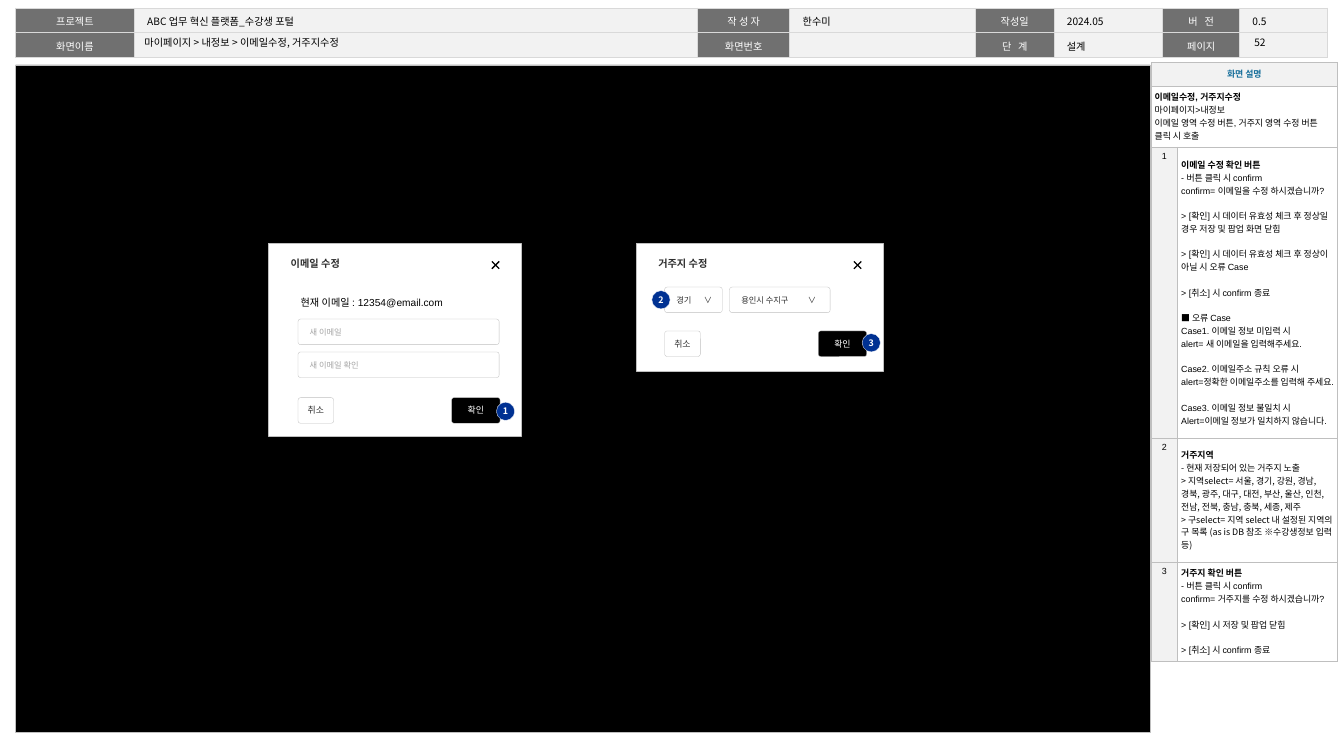
"""Builds the screen specification slide for the e-mail and residence popups."""
from lxml import etree
from pptx import Presentation
from pptx.dml.color import RGBColor
from pptx.enum.shapes import MSO_CONNECTOR as Connector, MSO_SHAPE as Shape
from pptx.enum.text import MSO_ANCHOR as Anchor, PP_ALIGN as Align
from pptx.oxml.ns import qn
from pptx.util import Inches, Pt

KOREAN = "Noto Sans CJK KR"
LATIN = "Arial"
BLACK, WHITE, INK = "000000", "FFFFFF", "2E2E2E"
PALE, LABEL_GRAY, EDGE, HINT = "F2F2F2", "707070", "BFBFBF", "A6A6A6"

HEADER_COLUMNS = [1.3, 6.16, 1.01, 2.03, 0.86, 1.19, 0.84, 0.96]
HEADER_ROWS = [
    ["프로젝트", "ABC 업무 혁신 플랫폼_수강생 포털", "작 성 자", "한수미",
     "작성일", "2024.05", "버 전", "0.5"],
    ["화면이름", "", "화면번호", "", "단 계", "설계", "페이지", ""],
]
SPREAD_LABELS = {"버 전", "단 계"}
SCREEN_PATH = "마이페이지 > 내정보 > 이메일수정, 거주지수정"
PAGE_NUMBER = "52"

GUIDE_TITLE = "화면 설명"
GUIDE_INTRO = [["이메일수정, 거주지수정", "마이페이지>내정보",
                "이메일 영역 수정 버튼, 거주지 영역 수정 버튼 클릭 시 호출"]]
GUIDE_HEIGHTS = [0.26, 0.67, 3.18, 1.36, 1.08]
GUIDE_NOTES = [
    ("1", LATIN, [
        ["이메일 수정 확인 버튼", "- 버튼 클릭 시 confirm", "confirm= 이메일을 수정 하시겠습니까?"],
        ["> [확인] 시 데이터 유효성 체크 후 정상일 경우 저장 및 팝업 화면 닫힘"],
        ["> [확인] 시 데이터 유효성 체크 후 정상이 아닐 시 오류 Case"],
        ["> [취소] 시 confirm 종료"],
        ["■ 오류 Case", "Case1. 이메일 정보 미입력 시", "alert= 새 이메일을 입력해주세요."],
        ["Case2. 이메일주소 규칙 오류 시", "alert=정확한 이메일주소를 입력해 주세요."],
        ["Case3. 이메일 정보 불일치 시", "Alert=이메일 정보가 일치하지 않습니다."],
    ]),
    ("2", KOREAN, [
        ["거주지역", "- 현재 저장되어 있는 거주지 노출",
         "> 지역select= 서울, 경기, 강원, 경남, 경북, 광주, 대구, 대전, 부산, 울산, 인천, "
         "전남, 전북, 충남, 충북, 세종, 제주",
         "> 구select= 지역 select 내 설정된 지역의 구 목록 (as is DB 참조 ※수강생정보 입력 등)"],
    ]),
    ("3", LATIN, [
        ["거주지 확인 버튼", "- 버튼 클릭 시 confirm", "confirm= 거주지를 수정 하시겠습니까?"],
        ["> [확인] 시 저장 및 팝업 닫힘"],
        ["> [취소] 시 confirm 종료"],
    ]),
]

POPUP_TOP = 2.66
POPUPS = [("이메일 수정", 2.94, 2.76, 2.11, (3.26, 4.35)),
          ("거주지 수정", 6.96, 2.7, 1.4, (7.27, 3.62))]
CURRENT_EMAIL = "현재 이메일 : 12354@email.com"
FIELDS = [("새 이메일", 3.26, 3.49, 2.2, HINT, None),
          ("새 이메일 확인", 3.26, 3.85, 2.2, HINT, None),
          ("경기\t∨", 7.27, 3.14, 0.63, INK, 0.3),
          ("용인시 수지구\t∨", 7.98, 3.14, 1.1, INK, 0.73)]
BADGES = [("1", 5.43, 4.4), ("2", 7.13, 3.18), ("3", 9.43, 3.65)]


def rgb(value):
    return RGBColor.from_string(value)


def write(frame, blocks, size=8, font=KOREAN, color=BLACK, bold=False, bold_first=False,
          align=Align.LEFT, spacing=None, gap=10, tab=None, tracking=None):
    blocks = [[blocks]] if isinstance(blocks, str) else blocks
    lines = [(line, gap if i and not j else 0)
             for i, block in enumerate(blocks) for j, line in enumerate(block)]
    for index, (line, before) in enumerate(lines):
        paragraph = frame.paragraphs[0] if index == 0 else frame.add_paragraph()
        paragraph.alignment = align
        if spacing:
            paragraph.line_spacing = spacing
        if before:
            paragraph.space_before = Pt(before)
        if tab:
            stops = etree.SubElement(paragraph._p.get_or_add_pPr(), qn("a:tabLst"))
            etree.SubElement(stops, qn("a:tab"), pos=str(Inches(tab)), algn="l")
        if not line:
            etree.SubElement(paragraph._p, qn("a:endParaRPr"), sz=str(size * 100))
            continue
        run = paragraph.add_run()
        run.text = line
        run.font.size = Pt(size)
        run.font.name = font
        run.font.bold = bold or (bold_first and index == 0)
        run.font.color.rgb = rgb(color)
        properties = run.font._element
        etree.SubElement(properties, qn("a:ea"), typeface=KOREAN)
        if tracking:
            properties.set("spc", str(tracking))


def set_insets(target, insets):
    (target.margin_left, target.margin_top,
     target.margin_right, target.margin_bottom) = [Inches(value) for value in insets]


def add_box(slide, kind, place, fill, edge=EDGE, width=0.25, text=None,
            insets=(0.04, 0, 0.04, 0), anchor=Anchor.MIDDLE, **style):
    box = slide.shapes.add_shape(kind, *[Inches(value) for value in place])
    box.shadow.inherit = False
    box.fill.solid()
    box.fill.fore_color.rgb = rgb(fill)
    box.line.color.rgb = rgb(edge)
    box.line.width = Pt(width)
    if kind == Shape.ROUNDED_RECTANGLE:
        box.adjustments[0] = 0.1
    if text:
        frame = box.text_frame
        frame.word_wrap = True
        frame.vertical_anchor = anchor
        set_insets(frame, insets)
        write(frame, text, **style)


def add_label(slide, place, text, insets=(0.1, 0.05, 0.1, 0.05), anchor=Anchor.MIDDLE, **style):
    frame = slide.shapes.add_textbox(*[Inches(value) for value in place]).text_frame
    frame.word_wrap = True
    frame.vertical_anchor = anchor
    set_insets(frame, insets)
    write(frame, text, **style)


def add_grid(slide, left, top, columns, heights):
    table = slide.shapes.add_table(len(heights), len(columns), Inches(left), Inches(top),
                                   Inches(sum(columns)), Inches(sum(heights))).table
    table.first_row = table.horz_banding = False
    for column, width in zip(table.columns, columns):
        column.width = Inches(width)
    for row, height in zip(table.rows, heights):
        row.height = Inches(height)
    return table


def style_cell(cell, fill, edge, width, insets, anchor=Anchor.TOP):
    properties = cell._tc.get_or_add_tcPr()
    for side in ("lnL", "lnR", "lnT", "lnB"):
        line = etree.SubElement(properties, qn(f"a:{side}"), w=str(Pt(width)))
        paint = etree.SubElement(line, qn("a:solidFill"))
        etree.SubElement(paint, qn("a:srgbClr"), val=edge)
    cell.fill.solid()
    cell.fill.fore_color.rgb = rgb(fill)
    cell.vertical_anchor = anchor
    set_insets(cell, insets)


def add_header(slide):
    header = add_grid(slide, 0.17, 0.09, HEADER_COLUMNS, [0.27, 0.27])
    for r, row in enumerate(HEADER_ROWS):
        for c, text in enumerate(row):
            label = c % 2 == 0
            cell = header.cell(r, c)
            style_cell(cell, LABEL_GRAY if label else PALE, "D9D9D9", 1, (0.14, 0.05, 0.14, 0.05))
            write(cell.text_frame, text, color=WHITE if label else BLACK, spacing=1.05,
                  align=Align.CENTER if label else Align.LEFT,
                  tracking=180 if text in SPREAD_LABELS else None)
    add_label(slide, (1.47, 0.38, 5.91, 0.16), SCREEN_PATH, insets=(0.11, 0.05, 0.11, 0.05))
    add_label(slide, (13.62, 0.38, 0.72, 0.16), PAGE_NUMBER)


def add_guide(slide):
    guide = add_grid(slide, 12.59, 0.68, [0.29, 1.75], GUIDE_HEIGHTS)
    for r in range(len(GUIDE_HEIGHTS)):
        for c in range(2):
            shaded = r == 0 or (r > 1 and c == 0)
            middle = r == 0 or (r > 1 and c == 1)
            style_cell(guide.cell(r, c), PALE if shaded else WHITE, EDGE, 0.25,
                       (0.04, 0.05, 0.04, 0.05), Anchor.MIDDLE if middle else Anchor.TOP)
    for r in range(2):
        guide.cell(r, 0).merge(guide.cell(r, 1))
    write(guide.cell(0, 0).text_frame, GUIDE_TITLE, size=7, color="176F9B", bold=True,
          align=Align.CENTER)
    write(guide.cell(1, 0).text_frame, GUIDE_INTRO, size=7, font=LATIN, bold_first=True)
    for r, (number, font, blocks) in enumerate(GUIDE_NOTES, start=2):
        write(guide.cell(r, 0).text_frame, number, size=7, font=LATIN, align=Align.CENTER)
        write(guide.cell(r, 1).text_frame, blocks, size=7, font=font, bold_first=True)


def add_popup(slide, title, left, width, height, cancel):
    add_box(slide, Shape.RECTANGLE, (left, POPUP_TOP, width, height), WHITE, width=0.5, text=title,
            insets=(0.24, 0.16, 0.16, 0.05), anchor=Anchor.TOP, color=INK, bold=True)
    close_left, close_top, close_size = left + width - 0.32, POPUP_TOP + 0.2, 0.08
    for start, end in ((0, close_size), (close_size, 0)):
        stroke = slide.shapes.add_connector(
            Connector.STRAIGHT, Inches(close_left + start), Inches(close_top),
            Inches(close_left + end), Inches(close_top + close_size))
        stroke.line.color.rgb = rgb(BLACK)
        stroke.line.width = Pt(1)
        etree.SubElement(stroke._element.spPr, qn("a:effectLst"))
    x, y = cancel
    for text, offset, button_width, fill, color in (("취소", 0, 0.39, WHITE, INK),
                                                    ("확인", 1.68, 0.53, BLACK, WHITE)):
        add_box(slide, Shape.ROUNDED_RECTANGLE, (x + offset, y, button_width, 0.28), fill,
                text=text, size=7, font=LATIN, color=color, align=Align.CENTER)


def main():
    deck = Presentation()
    deck.slide_width, deck.slide_height = Inches(14.7), Inches(8.27)
    slide = deck.slides.add_slide(deck.slide_layouts[6])
    add_header(slide)
    add_box(slide, Shape.RECTANGLE, (0.17, 0.71, 12.41, 7.3), BLACK, width=0.5)
    add_guide(slide)
    for popup in POPUPS:
        add_popup(slide, *popup)
    add_label(slide, (3.19, 3.19, 2.1, 0.24), CURRENT_EMAIL, anchor=Anchor.TOP, font=LATIN)
    for text, left, top, width, color, tab in FIELDS:
        add_box(slide, Shape.ROUNDED_RECTANGLE, (left, top, width, 0.28), WHITE, text=text,
                insets=(0.12, 0, 0.08, 0), size=6.5, font=LATIN, color=color, tab=tab)
    for number, left, top in BADGES:
        add_box(slide, Shape.OVAL, (left, top, 0.2, 0.2), "003192", edge=WHITE, text=number,
                insets=(0, 0, 0, 0), size=7, color=WHITE, bold=True, align=Align.CENTER)
    deck.save("out.pptx")


if __name__ == "__main__":
    main()
